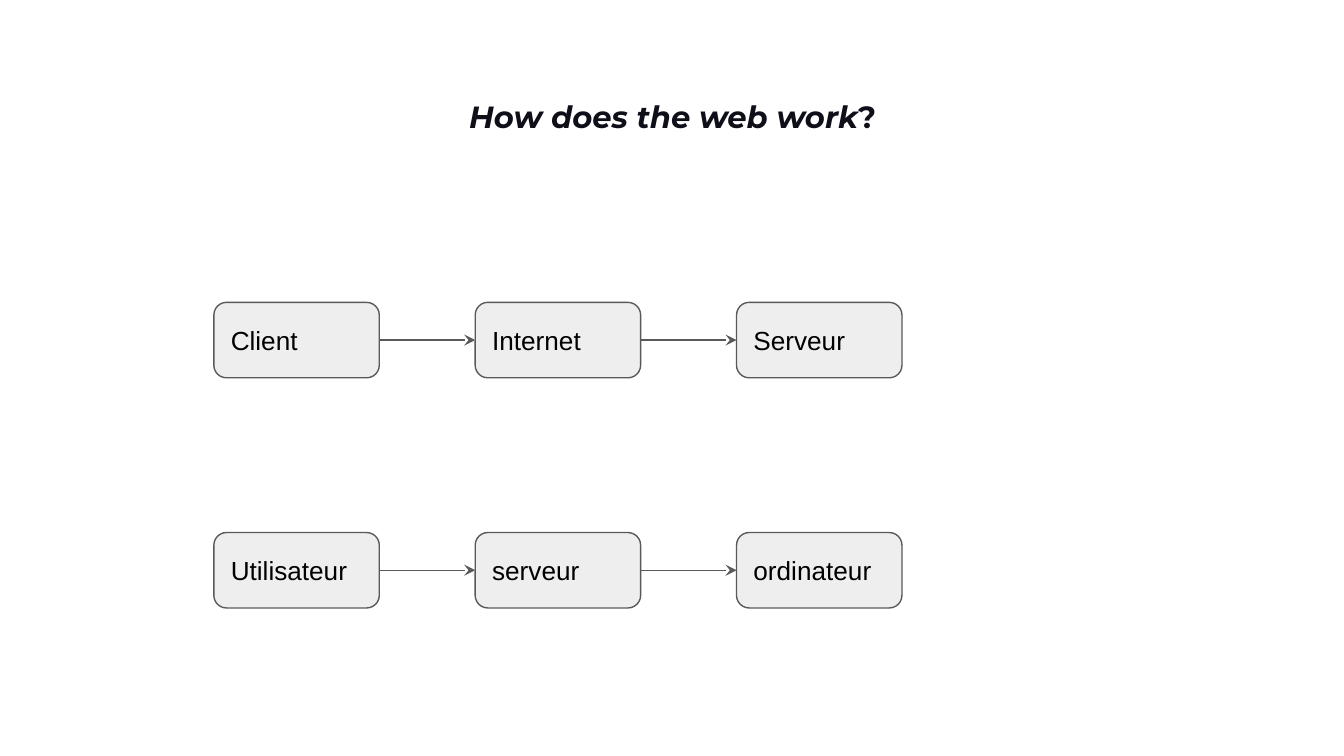
from itertools import pairwise

from lxml.etree import SubElement
from pptx import Presentation
from pptx.dml.color import RGBColor
from pptx.enum.shapes import MSO_CONNECTOR, MSO_SHAPE
from pptx.enum.text import MSO_ANCHOR, PP_ALIGN
from pptx.oxml.ns import qn
from pptx.util import Pt

LINE_COLOR = "595959"
BOX_WIDTH, BOX_HEIGHT = 88.6, 40.4
FLOW_LEFT, FLOW_STEP = 114.6, 140
FLOWS = [
    (162, ["Client", "Internet", "Serveur"]),
    (285.3, ["Utilisateur", "serveur", "ordinateur"]),
]


def color(value):
    return RGBColor.from_string(value)


def style_span(span, font, size, value):
    span.font.name = font
    span.font.size = Pt(size)
    span.font.color.rgb = color(value)


def style_line(line):
    line.color.rgb = color(LINE_COLOR)
    line.width = Pt(0.75)


def set_margins(frame):
    frame.margin_left = frame.margin_right = Pt(7.2)
    frame.margin_top = frame.margin_bottom = Pt(7.2)


def add_title(page, words, ending):
    box = page.shapes.add_textbox(Pt(57.6), Pt(45), Pt(605.5), Pt(34.4))
    frame = box.text_frame
    frame.word_wrap = True
    set_margins(frame)
    para = frame.paragraphs[0]
    para.alignment = PP_ALIGN.CENTER
    for text, italic in [(words, True), (ending, False)]:
        span = para.add_run()
        span.text = text
        style_span(span, "Montserrat", 16.4, "0F0F19")
        span.font.bold = True
        span.font.italic = italic


def add_step(page, left, top, label):
    box = page.shapes.add_shape(
        MSO_SHAPE.ROUNDED_RECTANGLE, Pt(left), Pt(top), Pt(BOX_WIDTH), Pt(BOX_HEIGHT)
    )
    box.shadow.inherit = False
    box.fill.solid()
    box.fill.fore_color.rgb = color("EEEEEE")
    style_line(box.line)
    frame = box.text_frame
    frame.text = label
    frame.vertical_anchor = MSO_ANCHOR.MIDDLE
    set_margins(frame)
    para = frame.paragraphs[0]
    para.alignment = PP_ALIGN.LEFT
    style_span(para.runs[0], "Arial", 14, "000000")
    return box


def add_arrow(page, start, end):
    arrow = page.shapes.add_connector(MSO_CONNECTOR.STRAIGHT, 0, 0, 0, 0)
    arrow.begin_connect(start, 3)
    arrow.end_connect(end, 1)
    style_line(arrow.line)
    SubElement(arrow.line._get_or_add_ln(), qn("a:tailEnd"), type="stealth")
    SubElement(arrow._element.spPr, qn("a:effectLst"))


def add_flow(page, top, labels):
    boxes = [
        add_step(page, FLOW_LEFT + column * FLOW_STEP, top, label)
        for column, label in enumerate(labels)
    ]
    for start, end in pairwise(boxes):
        add_arrow(page, start, end)


def main():
    deck = Presentation()
    deck.slide_width, deck.slide_height = Pt(720), Pt(405)
    page = deck.slides.add_slide(deck.slide_layouts[6])

    # Title
    add_title(page, "How does the web work", "?")

    # One row of linked boxes per flow
    for top, labels in FLOWS:
        add_flow(page, top, labels)

    deck.save("out.pptx")


if __name__ == "__main__":
    main()
